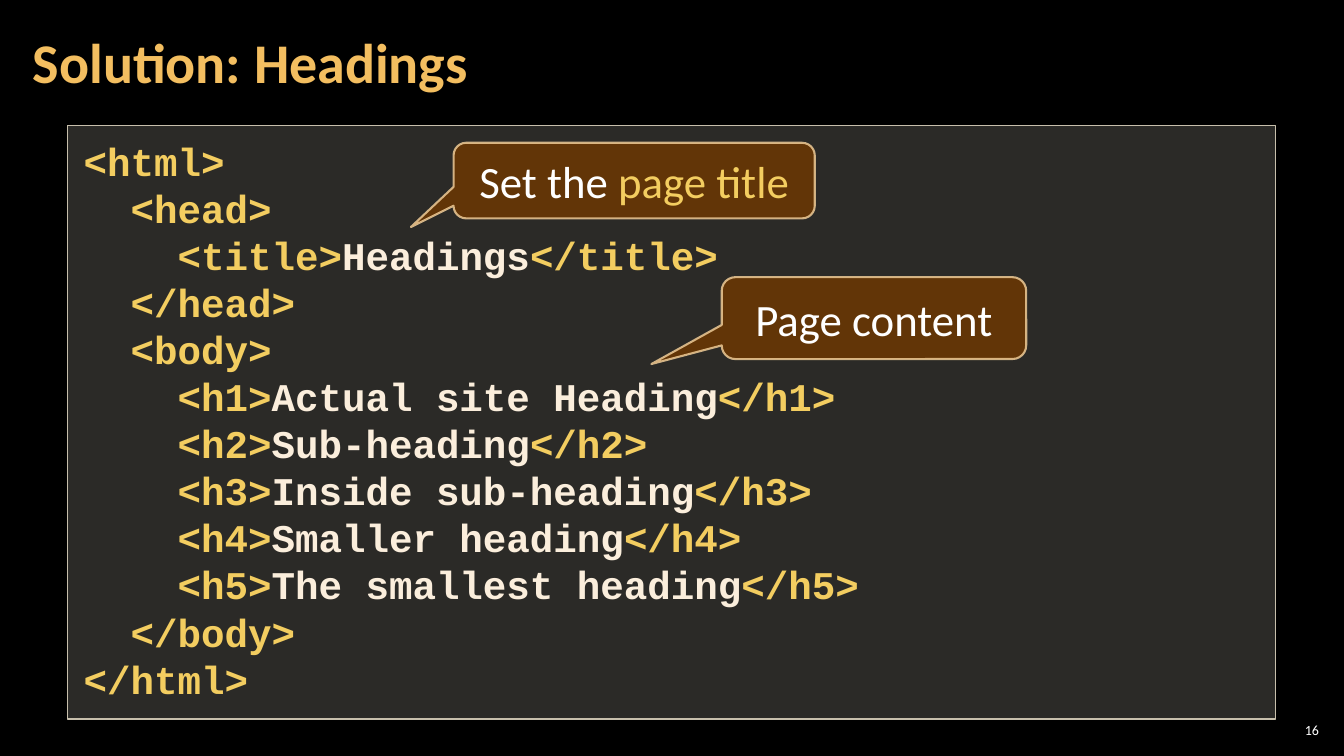
from dataclasses import dataclass

from lxml import etree
from pptx import Presentation
from pptx import util as u
from pptx.dml.color import RGBColor
from pptx.enum import shapes, text
from pptx.oxml import ns

Pt = u.Pt
Box = tuple[float, float, float, float]
Run = tuple[str, str]


@dataclass(frozen=True)
class Theme:
    """Colours, fonts and type sizes of the slide."""
    background: str = "000000"
    heading: str = "F3BE60"
    tag: str = "F3CD60"
    content: str = "FBEEDC"
    white: str = "FFFFFF"
    panel: str = "D9D5C7"
    panel_line: str = "C7BFAC"
    callout: str = "663606"
    callout_line: str = "F8D49E"
    body_font: str = "Calibri"
    code_font: str = "Courier New"
    number_size: int = 10
    heading_size: int = 40
    code_size: int = 28
    callout_size: int = 32


THEME = Theme()


@dataclass(frozen=True)
class Callout:
    """A speech bubble with its pointer offsets and coloured runs."""
    box: Box
    pointer: tuple[float, float]
    runs: list[Run]


@dataclass(frozen=True)
class Element:
    """An HTML element with a nesting depth and optional inner text."""
    depth: int
    opening: str
    content: str = ""
    closing: str = ""

    def runs(self) -> list[Run]:
        """Split the line into coloured runs."""
        parts = [(" " * (2 * self.depth) + self.opening, THEME.tag),
                 (self.content, THEME.content), (self.closing, THEME.tag)]
        return [part for part in parts if part[0]]


HEADINGS = ["Actual site Heading", "Sub-heading", "Inside sub-heading",
            "Smaller heading", "The smallest heading"]
CODE = [
    Element(0, "<html>"),
    Element(1, "<head>"),
    Element(2, "<title>", "Headings", "</title>"),
    Element(1, "</head>"),
    Element(1, "<body>"),
    *(Element(2, f"<h{level}>", words, f"</h{level}>")
      for level, words in enumerate(HEADINGS, 1)),
    Element(1, "</body>"),
    Element(0, "</html>"),
]
CALLOUTS = [
    Callout((324, 102, 258, 54), (-0.618, 0.614),
            [("Set the ", THEME.white), ("page title", THEME.tag)]),
    Callout((515.5, 198, 217.5, 58.5), (-0.731, 0.561),
            [("Page content", THEME.white)]),
]


def set_alpha(fill, percent: int) -> None:
    """Make a solid fill partly transparent."""
    color = fill._xPr.find(ns.qn("a:solidFill"))[0]
    etree.SubElement(color, ns.qn("a:alpha"), val=str(percent * 1000))


def write(frame, lines: list[list[Run]], font: str, size: int, bold: bool = False,
          align=text.PP_ALIGN.LEFT, anchor=text.MSO_ANCHOR.MIDDLE,
          spacing: float = 1.0, inset: tuple[float, float] = (7.2, 3.6)) -> None:
    """Fill a text frame with lines of coloured runs."""
    frame.word_wrap = True
    frame.vertical_anchor = anchor
    frame.margin_left = frame.margin_right = Pt(inset[0])
    frame.margin_top = frame.margin_bottom = Pt(inset[1])
    for index, runs in enumerate(lines):
        line = frame.paragraphs[0] if index == 0 else frame.add_paragraph()
        line.alignment, line.line_spacing = align, spacing
        line.font.name, line.font.size, line.font.bold = font, Pt(size), bold
        for words, color in runs:
            run = line.add_run()
            run.text = words
            run.font.color.rgb = RGBColor.from_string(color)


def add_panel(slide, kind, box: Box, fill: tuple[str, int],
              line: tuple[str, float, int]):
    """Add a translucent outlined shape."""
    panel = slide.shapes.add_shape(kind, *map(Pt, box))
    panel.shadow.inherit = False
    panel.fill.solid()
    panel.fill.fore_color.rgb = RGBColor.from_string(fill[0])
    set_alpha(panel.fill, fill[1])
    panel.line.color.rgb = RGBColor.from_string(line[0])
    panel.line.width = Pt(line[1])
    set_alpha(panel.line.fill, line[2])
    return panel


def add_callout(slide, callout: Callout) -> None:
    """Draw one speech bubble."""
    bubble = add_panel(slide, shapes.MSO_SHAPE.ROUNDED_RECTANGULAR_CALLOUT, callout.box,
                       (THEME.callout, 95), (THEME.callout_line, 1.5, 80))
    bubble.adjustments[0], bubble.adjustments[1] = callout.pointer
    write(bubble.text_frame, [callout.runs], THEME.body_font, THEME.callout_size,
          align=text.PP_ALIGN.CENTER)


def main() -> None:
    """Build and save the slide."""
    deck = Presentation()
    deck.slide_width, deck.slide_height = Pt(960), Pt(540)
    slide = deck.slides.add_slide(deck.slide_layouts[6])
    slide.background.fill.solid()
    slide.background.fill.fore_color.rgb = RGBColor.from_string(THEME.background)

    number = slide.shapes.add_textbox(*map(Pt, (911, 514, 34, 15)))
    write(number.text_frame, [[("16", THEME.white)]], THEME.body_font,
          THEME.number_size, align=text.PP_ALIGN.RIGHT, inset=(2.88, 2.88))
    heading = slide.shapes.add_textbox(*map(Pt, (15, 3, 754, 87)))
    write(heading.text_frame, [[("Solution: Headings", THEME.heading)]],
          THEME.body_font, THEME.heading_size, bold=True, spacing=0.9, inset=(8.5, 2.88))

    listing = add_panel(slide, shapes.MSO_SHAPE.RECTANGLE, (48.3, 89.5, 863, 424),
                        (THEME.panel, 20), (THEME.panel_line, 1, 100))
    write(listing.text_frame, [element.runs() for element in CODE], THEME.code_font,
          THEME.code_size, bold=True, anchor=text.MSO_ANCHOR.TOP, inset=(11.5, 8.5))
    for callout in CALLOUTS:
        add_callout(slide, callout)
    deck.save("out.pptx")


if __name__ == "__main__":
    main()
